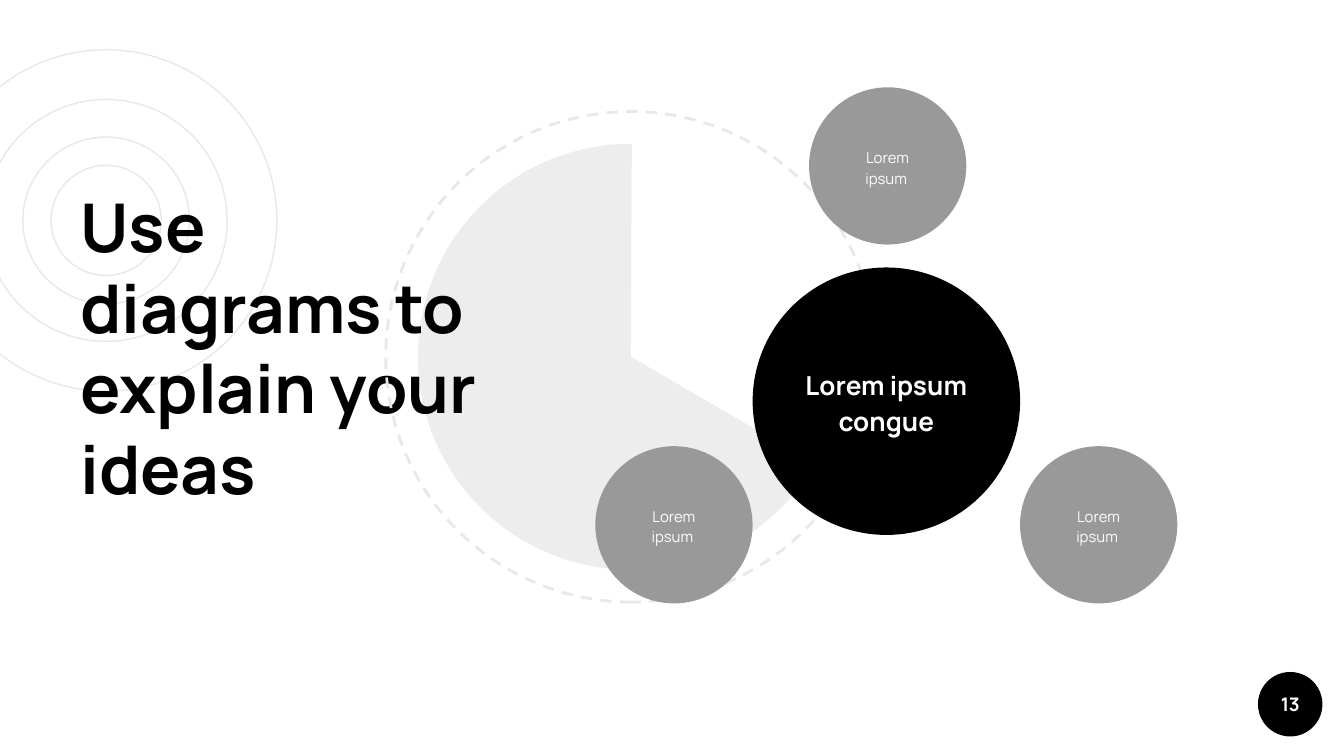
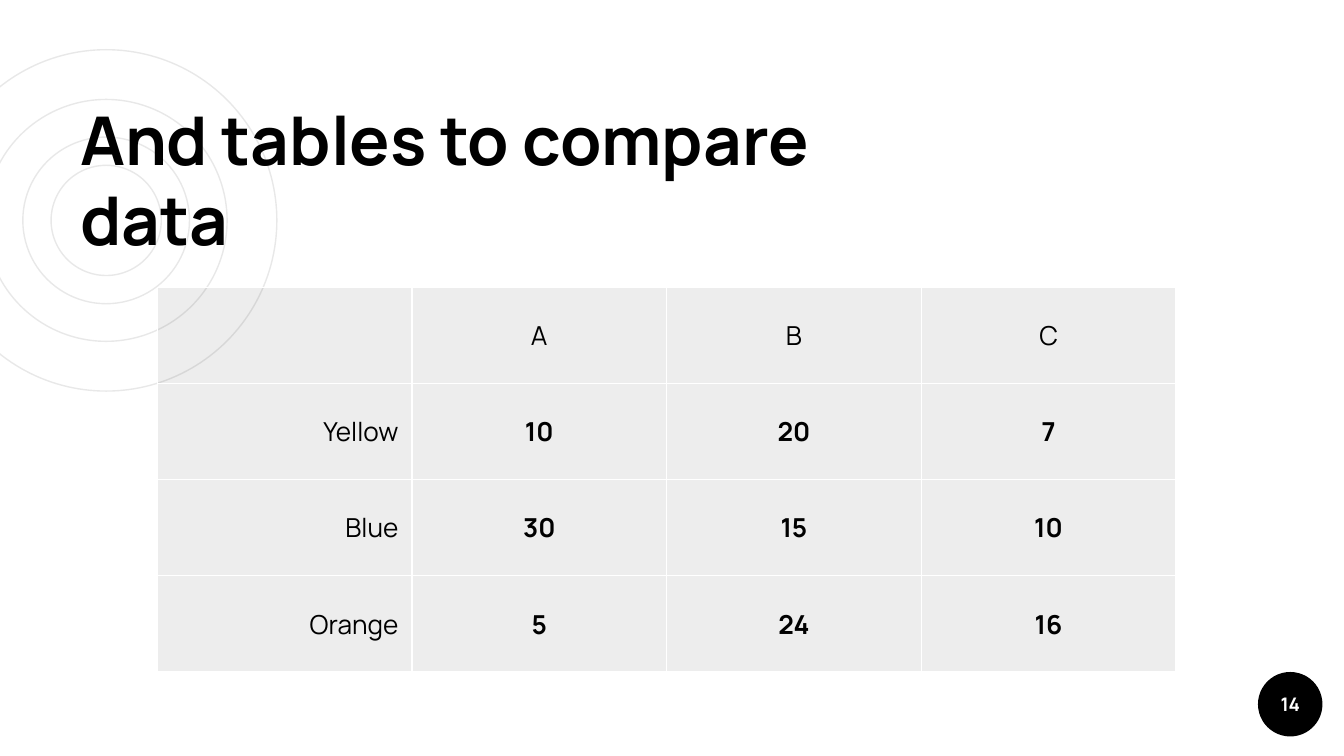
from lxml import etree
from pptx import Presentation
from pptx.dml.color import RGBColor
from pptx.enum.dml import MSO_LINE
from pptx.enum.shapes import MSO_SHAPE
from pptx.enum.text import MSO_ANCHOR, PP_ALIGN
from pptx.oxml.ns import qn
from pptx.util import Inches, Pt

OVAL, PIE = MSO_SHAPE.OVAL, MSO_SHAPE.PIE
DASH = MSO_LINE.DASH
TOP, MIDDLE, BOTTOM = MSO_ANCHOR.TOP, MSO_ANCHOR.MIDDLE, MSO_ANCHOR.BOTTOM
LEFT, CENTER, RIGHT = PP_ALIGN.LEFT, PP_ALIGN.CENTER, PP_ALIGN.RIGHT

FONT = "Manrope"
BLACK, WHITE, GRAY, PALE = "000000", "FFFFFF", "999999", "E8E8E8"
TINT = 7
WIDTH = Inches(10)
HEIGHT = WIDTH * 9 // 16
BADGE = (9.36, 5, 0.48, 0.48)
ROWS = [
    ["", "A", "B", "C"],
    ["Yellow", "10", "20", "7"],
    ["Blue", "30", "15", "10"],
    ["Orange", "5", "24", "16"],
]


def color(code):
    return RGBColor.from_string(code)


def paint(fill, node, code, alpha=None):
    fill.solid()
    fill.fore_color.rgb = color(code)
    if alpha is not None:
        tone = next(node.iter(qn("a:srgbClr")))
        etree.SubElement(tone, qn("a:alpha"), val=str(alpha * 1000))


def write(frame, text, size, tone=BLACK, bold=False, align=LEFT, space=None):
    para = frame.paragraphs[0]
    para.alignment = align
    if space:
        para.line_spacing = space
    run = para.add_run()
    run.text = text
    run.font.name = FONT
    run.font.size = Pt(size)
    run.font.bold = bold
    run.font.color.rgb = color(tone)


def label(shapes, box, text, size, anchor=MIDDLE, **style):
    frame = shapes.add_textbox(*map(Inches, box)).text_frame
    frame.word_wrap = True
    frame.vertical_anchor = anchor
    frame.margin_left = frame.margin_right = Inches(0.1)
    frame.margin_top = frame.margin_bottom = Inches(0.1)
    write(frame, text, size, **style)


def draw(shapes, kind, box, fill=None, alpha=None, line=None, width=0.75):
    shape = shapes.add_shape(kind, *map(Inches, box))
    shape.shadow.inherit = False
    if fill:
        paint(shape.fill, shape._element.spPr, fill, alpha)
    else:
        shape.fill.background()
    if line:
        shape.line.color.rgb = color(line)
        shape.line.width = Pt(width)
    else:
        shape.line.fill.background()
    return shape


def inset(box, gap):
    x, y, w, h = box
    return x + gap, y + gap, w - 2 * gap, h - 2 * gap


def rings(slide, x, y):
    shapes = slide.shapes.add_group_shape().shapes
    for size in (2.54, 1.8, 1.24, 0.82):
        draw(shapes, OVAL, (x - size / 2, y - size / 2, size, size), line=PALE)


def frame(deck, title, box, number, anchor):
    slide = deck.slides.add_slide(deck.slide_layouts[6])
    rings(slide, 0.79, 1.64)
    draw(slide.shapes, OVAL, BADGE, fill=BLACK)
    label(slide.shapes, box, title, 36, anchor, bold=True)
    label(slide.shapes, BADGE, str(number), 10, tone=WHITE, bold=True, align=CENTER)
    return slide


def dial(slide, box):
    shapes = slide.shapes.add_group_shape().shapes
    rim = draw(shapes, OVAL, box, line=PALE, width=1.5)
    rim.line.dash_style = DASH
    rim.rotation = 270
    wedge = draw(shapes, PIE, inset(box, 0.24), fill=BLACK, alpha=TINT)
    wedge.adjustments[0] = 18.12
    wedge.adjustments[1] = 162.15


def bubble(slide, x, y, size, fill, text, area, points, bold=False):
    shapes = slide.shapes.add_group_shape().shapes
    draw(shapes, OVAL, (x, y, size, size), fill=fill)
    dx, dy, w, h = area
    label(shapes, (x + dx, y + dy, w, h), text, points,
          tone=WHITE, bold=bold, align=CENTER, space=1.15)


def edge(cell):
    props = cell._tc.get_or_add_tcPr()
    for spot, side in enumerate(("lnL", "lnR", "lnT", "lnB")):
        line = etree.Element(qn("a:" + side), w=str(Pt(0.75)))
        fill = etree.SubElement(line, qn("a:solidFill"))
        etree.SubElement(fill, qn("a:srgbClr"), val=WHITE)
        props.insert(spot, line)


def grid(slide, box, rows):
    x, y, w, h = map(Inches, box)
    table = slide.shapes.add_table(len(rows), len(rows[0]), x, y, w, h).table
    table.first_row = table.horz_banding = False
    for r, row in enumerate(rows):
        for c, text in enumerate(row):
            cell = table.cell(r, c)
            paint(cell.fill, cell._tc, BLACK, TINT)
            edge(cell)
            cell.vertical_anchor = MIDDLE
            cell.margin_left = cell.margin_right = Inches(0.1)
            cell.margin_top = cell.margin_bottom = Inches(0.07)
            if text:
                write(cell.text_frame, text, 14, bold=r > 0 and c > 0,
                      align=CENTER if c else RIGHT)


def diagram(deck):
    slide = frame(deck, "Use diagrams to explain your ideas",
                  (0.5, 1.28, 3.28, 3.22), 13, TOP)
    dial(slide, (2.87, 0.83, 3.65, 3.65))
    bubble(slide, 5.6, 1.99, 1.99, BLACK, "Lorem ipsum congue",
           (0.26, 0.54, 1.47, 0.9), 14, bold=True)
    for x, y in ((6.02, 0.65), (4.43, 3.32), (7.59, 3.32)):
        bubble(slide, x, y, 1.17, GRAY, "Lorem ipsum ",
               (0.17, 0.19, 0.83, 0.8), 8)


def compare(deck):
    slide = frame(deck, "And tables to compare data",
                  (0.5, 1.28, 5.71, 0.75), 14, BOTTOM)
    grid(slide, (1.17, 2.14, 7.58, 2.86), ROWS)


def main():
    deck = Presentation()
    deck.slide_width = WIDTH
    deck.slide_height = HEIGHT
    diagram(deck)
    compare(deck)
    deck.save("out.pptx")


if __name__ == "__main__":
    main()
